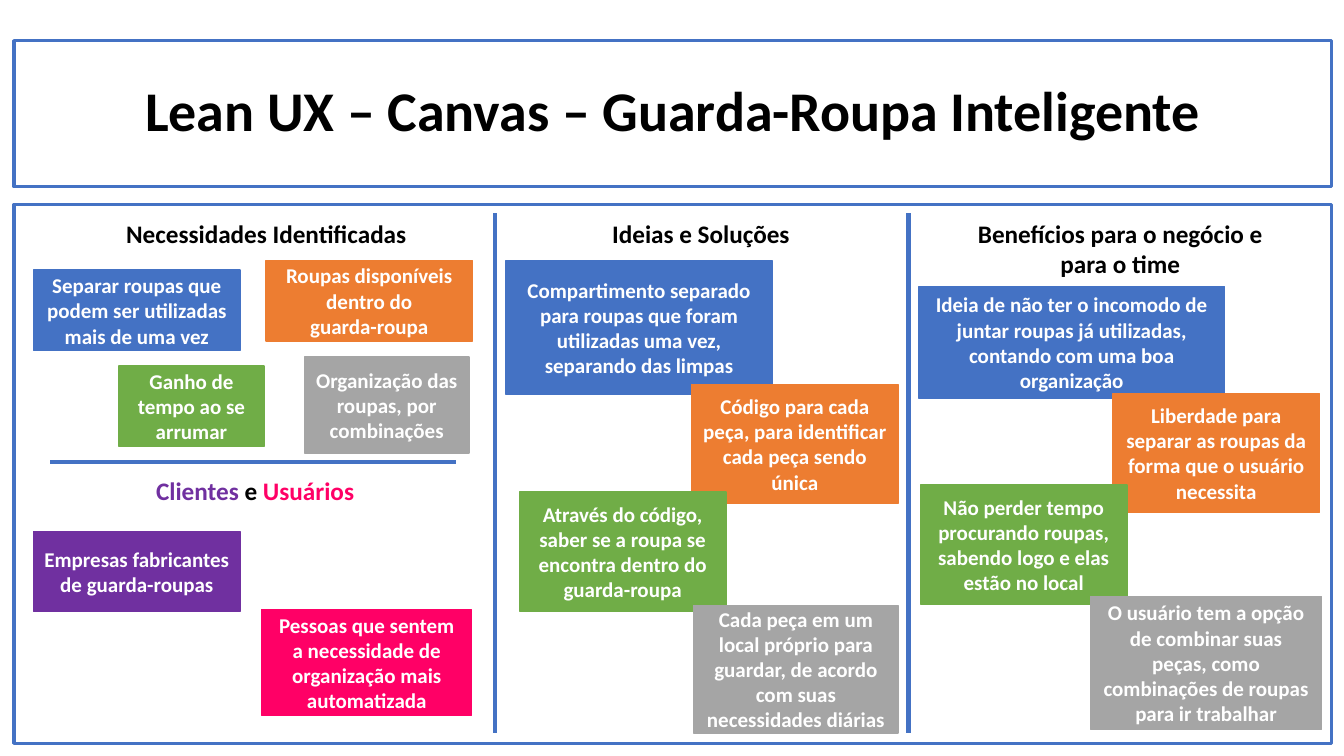
from lxml.etree import SubElement
from pptx import Presentation
from pptx.dml.color import RGBColor
from pptx.enum.shapes import MSO_CONNECTOR as Connector, MSO_SHAPE as Preset
from pptx.enum.text import MSO_ANCHOR as Anchor, MSO_AUTO_SIZE as AutoSize, PP_ALIGN as Align
from pptx.oxml.ns import qn
from pptx.util import Pt

COLORS = {
    "blue": "4472C4", "orange": "ED7D31", "green": "70AD47", "gray": "A5A5A5",
    "purple": "7030A0", "pink": "FF0066", "black": "000000", "white": "FFFFFF",
}

# Content: boxes are (left, top, width, height) in points
TITLE = "Lean UX – Canvas – Guarda-Roupa Inteligente"
TITLE_BOX = (10, 29, 941, 104.5)
CANVAS_BOX = (10, 146, 941, 385)
DIVIDERS = [  # x1, y1, x2, y2
    (649, 152.5, 649, 523.5),
    (353.5, 152.5, 353.5, 523.5),
    (36, 330, 325.5, 330),
]
HEADINGS = [  # left, top, height, runs
    (74, 152.5, 29, [("Necessidades Identificadas", "black")]),
    (384.5, 152.5, 29, [("Ideias e Soluções", "black")]),
    (684, 152.5, 51, [("Benefícios para o negócio e para o time", "black")]),
    (66, 336, 29, [("Clientes", "purple"), (" e ", "black"), ("Usuários", "pink")]),
]
HEADING_WIDTH = 232.5
SMALL = (147.5, 57.5)
TALL = (147.5, 85)
NOTES = [  # color, position, size, paragraphs
    # Needs
    ("gray", (217.5, 255), (117.5, 68.5), ["Organização das roupas, por combinações"]),
    ("blue", (24, 193), SMALL, ["Separar roupas que podem ser utilizadas mais de uma vez"]),
    ("orange", (190, 186), SMALL, ["Roupas disponíveis dentro do", "guarda-roupa"]),
    ("green", (85, 261.5), (103.5, 57.5), ["Ganho de tempo ao se arrumar"]),
    # Customers and users
    ("purple", (24, 379.5), SMALL, ["Empresas fabricantes de guarda-roupas"]),
    ("pink", (187, 435.5), (150, 75.5),
     ["Pessoas que sentem a necessidade de organização mais automatizada"]),
    # Ideas
    ("blue", (361.5, 186), (190, 96),
     ["Compartimento separado para roupas que foram utilizadas uma vez, separando das limpas"]),
    ("orange", (494, 274.5), TALL,
     ["Código para cada peça, para identificar cada peça sendo única"]),
    ("green", (371, 351.5), TALL,
     ["Através do código, saber se a roupa se encontra dentro do guarda-roupa"]),
    ("gray", (495.5, 432.5), (146, 91),
     ["Cada peça em um local próprio para guardar, de acordo com suas necessidades diárias"]),
    # Benefits
    ("blue", (656.5, 204.5), (218, 80),
     ["Ideia de não ter o incomodo de juntar roupas já utilizadas, "
      "contando com uma boa organização"]),
    ("orange", (795, 281), TALL,
     ["Liberdade para separar as roupas da forma que o usuário necessita"]),
    ("green", (657.5, 346.5), TALL,
     ["Não perder tempo procurando roupas, sabendo logo e elas estão no local"]),
    ("gray", (779, 426), (165, 95),
     ["O usuário tem a opção de combinar suas peças, como combinações de roupas "
      "para ir trabalhar"]),
]


def rgb(name):
    return RGBColor.from_string(COLORS[name])


def set_values(target, values):
    for name, value in values.items():
        setattr(target, name, value)


def points(box):
    return [Pt(value) for value in box]


def set_line(shape, color, width):
    shape.line.color.rgb = rgb(color)
    shape.line.width = Pt(width)


def write(shape, paragraphs, size, anchor, spacing=1.0):
    """Fill a shape with paragraphs, each a list of (text, color) runs."""
    frame = shape.text_frame
    set_values(frame, {"word_wrap": True, "auto_size": AutoSize.NONE,
                       "vertical_anchor": anchor})
    for index, runs in enumerate(paragraphs):
        paragraph = frame.add_paragraph() if index else frame.paragraphs[0]
        set_values(paragraph, {"alignment": Align.CENTER, "line_spacing": spacing})
        for text, color in runs:
            run = paragraph.add_run()
            run.text = text
            set_values(run.font, {"name": "Calibri", "size": Pt(size), "bold": True})
            run.font.color.rgb = rgb(color)


def add_rectangle(slide, box):
    shape = slide.shapes.add_shape(Preset.RECTANGLE, *points(box))
    shape.shadow.inherit = False
    return shape


def main():
    presentation = Presentation()
    set_values(presentation, {"slide_width": Pt(960), "slide_height": Pt(540)})
    slide = presentation.slides.add_slide(presentation.slide_layouts[5])

    # Title
    title = slide.shapes.title
    set_values(title, dict(zip(("left", "top", "width", "height"), points(TITLE_BOX))))
    set_line(title, "blue", 2.25)
    write(title, [[(TITLE, "black")]], 40, Anchor.MIDDLE, 0.9)

    # Canvas frame and dividers
    canvas = add_rectangle(slide, CANVAS_BOX)
    canvas.fill.background()
    set_line(canvas, "blue", 2.25)
    for ends in DIVIDERS:
        divider = slide.shapes.add_connector(Connector.STRAIGHT, *points(ends))
        set_line(divider, "blue", 3)
        SubElement(divider.element.spPr, qn("a:effectLst"))

    # Section headings
    for left, top, height, runs in HEADINGS:
        heading = slide.shapes.add_textbox(*points((left, top, HEADING_WIDTH, height)))
        write(heading, [runs], 18, Anchor.TOP)

    # Sticky notes
    for color, position, size, paragraphs in NOTES:
        note = add_rectangle(slide, position + size)
        note.fill.solid()
        note.fill.fore_color.rgb = rgb(color)
        set_line(note, color, 1)
        write(note, [[(text, "white")] for text in paragraphs], 15, Anchor.MIDDLE)

    presentation.save("out.pptx")


if __name__ == "__main__":
    main()
